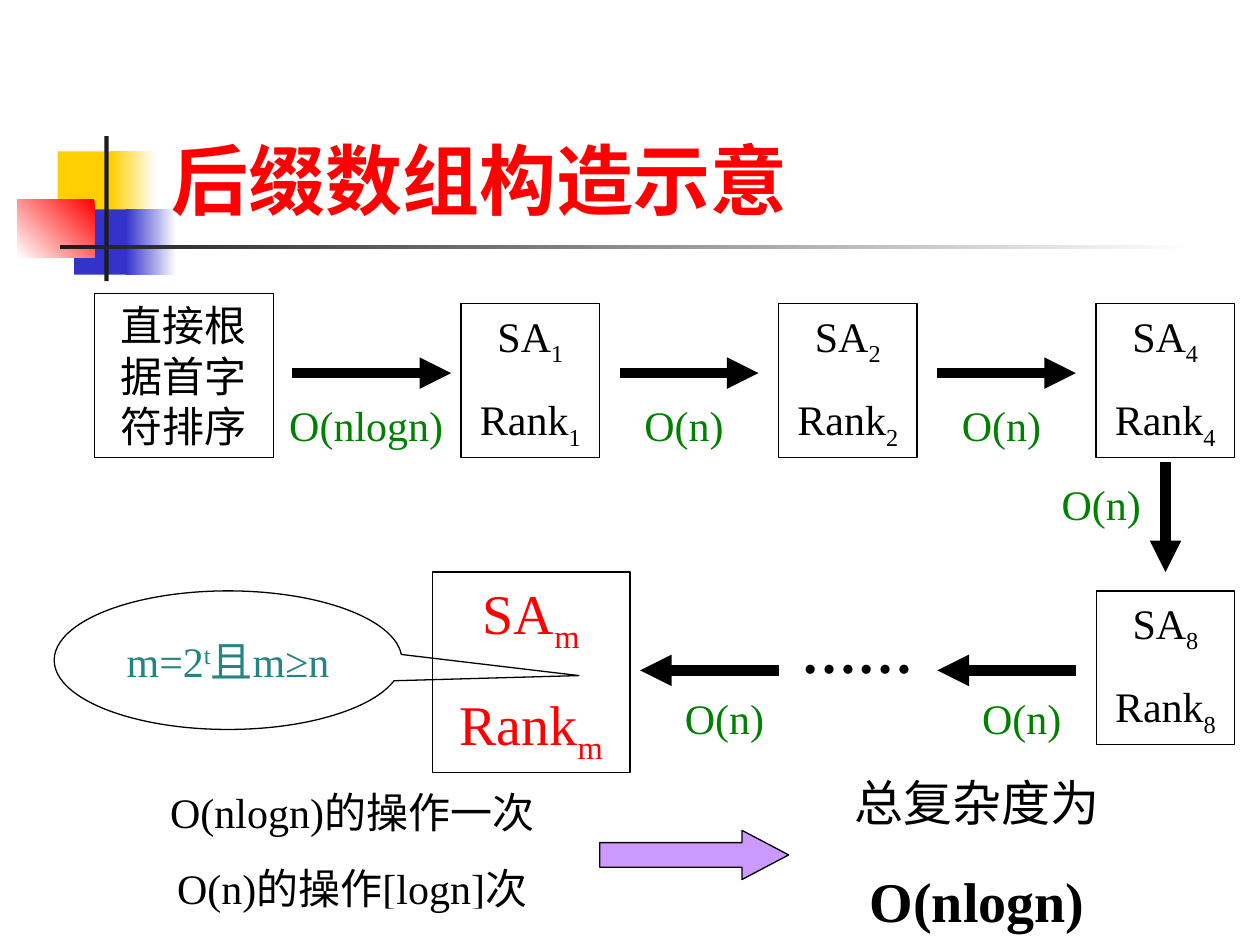
import pptx
import pptx.dml.color
import pptx.enum.shapes
import pptx.enum.text
import pptx.oxml.ns
import pptx.util
from lxml import etree

Pt = pptx.util.Pt
SHAPES = pptx.enum.shapes.MSO_SHAPE
ANCHOR = pptx.enum.text.MSO_ANCHOR
ALIGN = pptx.enum.text.PP_ALIGN
qn = pptx.oxml.ns.qn

SERIF = "Times New Roman"
CHINESE = "Noto Sans CJK SC"
BLACK, WHITE, RED, GREEN = "000000", "FFFFFF", "FF0000", "008000"
STEP_WIDTH, STEP_HEIGHT = 79.2, 87.8


def color(value):
    return pptx.dml.color.RGBColor.from_string(value)


def add_shape(slide, kind, box, fill=None, line=None):
    shape = slide.shapes.add_shape(kind, *[Pt(length) for length in box])
    shape.shadow.inherit = False
    if fill:
        shape.fill.solid()
        shape.fill.fore_color.rgb = color(fill)
    else:
        shape.fill.background()
    if line:
        shape.line.color.rgb = color(line)
        shape.line.width = Pt(0.75)
    else:
        shape.line.fill.background()
    return shape


def add_gradient(slide, box, first, last, angle):
    shape = add_shape(slide, SHAPES.RECTANGLE, box, first)
    shape.fill.gradient()
    shape.fill.gradient_angle = angle
    for stop, value in zip(shape.fill.gradient_stops, (first, last)):
        stop.color.rgb = color(value)


def add_text_box(slide, box):
    return slide.shapes.add_textbox(*[Pt(length) for length in box])


def write(shape, paragraphs, size=24, text_color=BLACK, font=SERIF, bold=False,
          align=ALIGN.CENTER, anchor=ANCHOR.TOP):
    """Each paragraph is a list of (text, baseline percent) runs."""
    frame = shape.text_frame
    frame.word_wrap = True
    frame.vertical_anchor = anchor
    for index, runs in enumerate(paragraphs):
        paragraph = frame.add_paragraph() if index else frame.paragraphs[0]
        paragraph.alignment = align
        if index:
            paragraph.space_before = Pt(size * 0.625)
        paragraph.font.name = font
        paragraph.font.size = Pt(size)
        paragraph.font.bold = bold
        paragraph.font.color.rgb = color(text_color)
        latin = paragraph._p.pPr.find(qn("a:defRPr")).find(qn("a:latin"))
        east_asian = etree.Element(qn("a:ea"), typeface=CHINESE)
        latin.addnext(east_asian)
        for text, baseline in runs:
            run = paragraph.add_run()
            run.text = text
            if baseline:
                run._r.get_or_add_rPr().set("baseline", str(baseline * 1000))
    return frame


def add_arrow(slide, start, end):
    points = [Pt(length) for length in (*start, *end)]
    arrow = slide.shapes.add_connector(
        pptx.enum.shapes.MSO_CONNECTOR.STRAIGHT, *points)
    arrow.line.color.rgb = color(BLACK)
    arrow.line.width = Pt(6)
    etree.SubElement(arrow.line._get_or_add_ln(), qn("a:tailEnd"), type="triangle")
    etree.SubElement(arrow._element.spPr, qn("a:effectLst"))


def add_step(slide, box, index, size=24, text_color=BLACK):
    shape = add_shape(slide, SHAPES.RECTANGLE, box, line=BLACK)
    write(shape, [[(name, 0), (index, -25)] for name in ("SA", "Rank")],
          size, text_color)


def add_cost(slide, left, top, text="O(n)", width=73.4):
    write(add_text_box(slide, (left, top, width, 36)), [[(text, 0)]],
          text_color=GREEN)


def add_decoration(slide, left, top):
    blocks = [
        ((23, 8.7, 34.5, 37.4), "FFCF01", (53.2, 8.7, 26, 37.4)),
        ((32.4, 41.8, 33, 37.4), "3333CC", (62, 41.8, 28.8, 37.4)),
    ]
    for (x, y, *size), fill, (fade_x, fade_y, *fade_size) in blocks:
        add_shape(slide, SHAPES.RECTANGLE, (left + x, top + y, *size), fill)
        add_gradient(slide, (left + fade_x, top + fade_y, *fade_size),
                     WHITE, fill, 180)
    add_gradient(slide, (left, top + 36, 44, 33.4), RED, WHITE, 225)
    add_shape(slide, SHAPES.RECTANGLE, (left + 49.7, top, 2.5, 82.8), "1C1C1C")
    add_gradient(slide, (left + 24.5, top + 62.2, 648, 2.5), WHITE, "1C1C1C", 180)


def add_title(slide, box):
    write(add_text_box(slide, box), [[("后缀数组构造示意", 0)]], 44, RED, CHINESE,
          True, ALIGN.LEFT, ANCHOR.BOTTOM)


def add_forward_row(slide, left, top):
    start = add_shape(slide, SHAPES.RECTANGLE, (left, top, 102.2, 93.6), line=BLACK)
    write(start, [[("直接根据首字符排序", 0)]])

    # Doubling steps at an equal pitch, each after its arrow
    arrow_y = top + 45.4
    for number, index in enumerate(("1", "2", "4")):
        x = left + 209.5 + 181.4 * number
        arrow_length = 79.2 if number else 90.7
        add_step(slide, (x, top + 5.8, STEP_WIDTH, STEP_HEIGHT), index)
        arrow_x = x - (90.7 if number else 96.4)
        add_arrow(slide, (arrow_x, arrow_y), (arrow_x + arrow_length, arrow_y))
        if number:
            add_cost(slide, arrow_x, arrow_y + 11.5)
        else:
            add_cost(slide, arrow_x - 11.5, arrow_y + 11.5, "O(nlogn)", 107.3)


def add_backward_row(slide, left, top):
    # Turn from the upper row
    add_arrow(slide, (left + 635, top - 62.6), (left + 635, top))
    add_cost(slide, left + 561.6, top - 56.9)
    add_step(slide, (left + 595.4, top + 10.8, STEP_WIDTH, STEP_HEIGHT), "8")

    # Remaining steps, leading to the last one
    dots = add_text_box(slide, (left + 408.2, top + 28.1, 102.2, 40.3))
    frame = write(dots, [[("……", 0)]], 32, bold=True)
    frame.paragraphs[0].line_spacing = 0.85
    for x in (left + 334.8, left + 504.7):
        add_arrow(slide, (x + 79.2, top + 56.2), (x, top + 56.2))
        add_cost(slide, x + 11.5, top + 65.5)
    add_step(slide, (left + 216, top, 113, 114.5), "m", 32, RED)

    callout = add_shape(slide, SHAPES.OVAL_CALLOUT,
                        (left, top + 10.8, 198.7, 79.2), line=BLACK)
    callout.adjustments[0] = 1.009
    callout.adjustments[1] = 0.111
    write(callout, [[("m=2", 0), ("t", 30), ("且m≥n", 0)]],
          text_color="248482", anchor=ANCHOR.MIDDLE)


def add_conclusion(slide, left, top):
    counts = add_text_box(slide, (left, top + 7.9, 249.8, 80))
    write(counts, [[("O(nlogn)的操作一次", 0)], [("O(n)的操作[logn]次", 0)]])
    # Cover the feet of the brackets to make ceiling signs
    for x in (141.8, 193):
        add_shape(slide, SHAPES.RECTANGLE, (left + x, top + 81.4, 11.5, 15.1), WHITE)

    arrow = add_shape(slide, SHAPES.RIGHT_ARROW,
                      (left + 266.4, top + 36.7, 108, 28.1), "CC99FF", BLACK)
    arrow.adjustments[1] = 0.949

    total = add_text_box(slide, (left + 374.4, top, 215.3, 99.4))
    frame = write(total, [[("总复杂度为", 0)], [("O(nlogn)", 0)]], 28)
    result = frame.paragraphs[1]
    result.space_before = Pt(20)
    result.font.size = Pt(32)
    result.font.bold = True


def main():
    presentation = pptx.Presentation()
    presentation.slide_width, presentation.slide_height = Pt(720), Pt(540)
    slide = presentation.slides.add_slide(presentation.slide_layouts[6])
    add_decoration(slide, 10, 77.8)
    add_title(slide, (90.7, 16.6, 613.4, 115.2))
    add_forward_row(slide, 54, 167.8)
    add_backward_row(slide, 31, 326.9)
    add_conclusion(slide, 76.3, 437.8)
    presentation.save("out.pptx")


if __name__ == "__main__":
    main()
